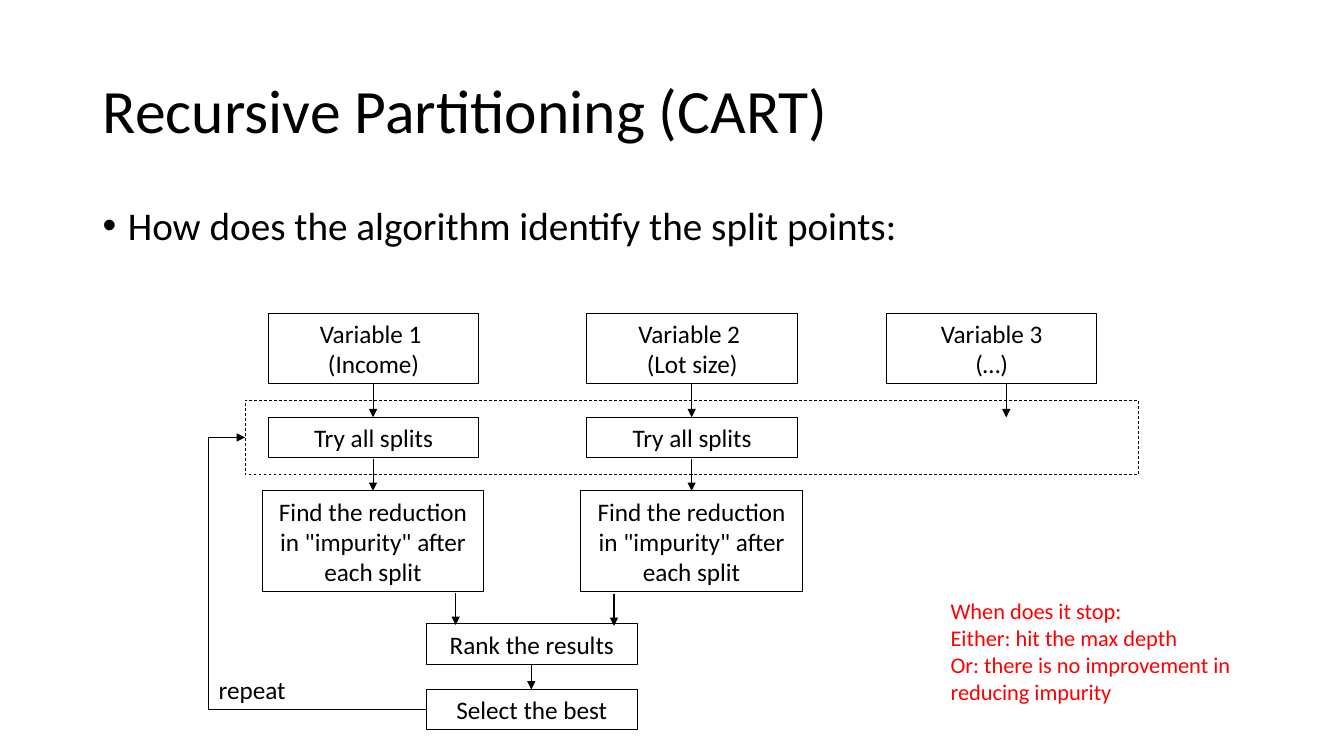
from dataclasses import dataclass

from lxml.etree import SubElement
from pptx import Presentation
from pptx.dml.color import RGBColor
from pptx.enum.dml import MSO_LINE
from pptx.enum.shapes import MSO_CONNECTOR, MSO_SHAPE
from pptx.enum.text import MSO_ANCHOR, MSO_AUTO_SIZE, PP_ALIGN
from pptx.oxml.ns import qn
from pptx.util import Emu, Pt

EMU_PER_PX = 9144  # 100 px to the inch
FONT = "Calibri"
BLACK = "000000"
RED = "FF0000"
BOX_W = 209


@dataclass
class Box:
    text: str
    x: int
    y: int
    h: int
    w: int = BOX_W


@dataclass
class Line:
    x1: int
    y1: int
    x2: int
    y2: int
    arrow: bool = True


@dataclass
class Label:
    text: str
    x: int
    y: int
    w: int
    h: int
    size: int
    color: str = BLACK


def px(n: int) -> Emu:
    return Emu(n * EMU_PER_PX)


def rgb(color: str) -> RGBColor:
    return RGBColor.from_string(color)


def write(tf, text: str, size: int, color: str = BLACK, align=PP_ALIGN.LEFT) -> None:
    tf.word_wrap = True
    tf.auto_size = MSO_AUTO_SIZE.NONE
    tf.text = text
    for p in tf.paragraphs:
        p.alignment = align
        for r in p.runs:
            r.font.size = Pt(size)
            r.font.name = FONT
            r.font.color.rgb = rgb(color)


def add_rect(s, x: int, y: int, w: int, h: int, line_pt: float):
    sp = s.shapes.add_shape(MSO_SHAPE.RECTANGLE, px(x), px(y), px(w), px(h))
    sp.shadow.inherit = False
    sp.fill.background()
    sp.line.color.rgb = rgb(BLACK)
    sp.line.width = Pt(line_pt)
    return sp


def add_box(s, box: Box) -> None:
    sp = add_rect(s, box.x, box.y, box.w, box.h, 0)
    sp.text_frame.vertical_anchor = MSO_ANCHOR.TOP
    write(sp.text_frame, box.text, 18, align=PP_ALIGN.CENTER)


def add_line(s, line: Line) -> None:
    ends = [px(n) for n in (line.x1, line.y1, line.x2, line.y2)]
    cn = s.shapes.add_connector(MSO_CONNECTOR.STRAIGHT, *ends)
    cn.line.color.rgb = rgb(BLACK)
    cn.line.width = Pt(0.75)
    if line.arrow:
        SubElement(cn.line._get_or_add_ln(), qn("a:tailEnd"), type="triangle")
    SubElement(cn._element.spPr, qn("a:effectLst"))


def add_label(s, label: Label):
    sp = s.shapes.add_textbox(px(label.x), px(label.y), px(label.w), px(label.h))
    write(sp.text_frame, label.text, label.size, label.color)
    return sp.text_frame


def add_bullet(p) -> None:
    pPr = p._p.get_or_add_pPr()
    pPr.set("marL", str(px(25)))
    pPr.set("indent", str(px(-25)))
    SubElement(pPr, qn("a:buFont"), typeface="Arial")
    SubElement(pPr, qn("a:buChar"), char="•")


def add_title(s, text: str) -> None:
    title = s.shapes.title
    title.left, title.top, title.width, title.height = px(92), px(40), px(1150), px(145)
    title.text_frame.vertical_anchor = MSO_ANCHOR.MIDDLE
    write(title.text_frame, text, 44)
    title.text_frame.paragraphs[0].line_spacing = 0.9


VARIABLES = [("Variable 1 \n(Income)", 266), ("Variable 2 \n(Lot size)", 582), ("Variable 3\n(…)", 879)]
SPLIT_COLUMNS = [x for _, x in VARIABLES[:2]]

BOXES = [Box(text, x, 311, 70) for text, x in VARIABLES]
LINES = []
for x in SPLIT_COLUMNS:
    center = x + BOX_W // 2
    BOXES += [
        Box("Try all splits", x, 414, 40),
        Box('Find the reduction in "impurity" after each split', x - 6, 487, 100, 220),
    ]
    LINES += [Line(center, 381, center, 414), Line(center, 455, center, 487)]

BOXES += [Box("Rank the results", 423, 619, 40), Box("Select the best", 423, 684, 40)]
LINES += [
    Line(998, 381, 998, 414),
    Line(452, 588, 452, 620),
    Line(609, 589, 609, 621),
    Line(527, 659, 527, 684),
]
REPEAT_LOOP = [
    Line(423, 704, 207, 704, arrow=False),
    Line(207, 704, 207, 434, arrow=False),
    Line(207, 434, 243, 434),
]
LABELS = [
    Label("repeat", 207, 664, 99, 40, 18),
    Label(
        "When does it stop:\nEither: hit the max depth\n"
        "Or: there is no improvement in reducing impurity",
        933, 588, 367, 116, 16, RED,
    ),
]


def main() -> None:
    prs = Presentation()
    prs.slide_width, prs.slide_height = px(1333), px(750)
    s = prs.slides.add_slide(prs.slide_layouts[5])

    add_title(s, "Recursive Partitioning (CART)")
    question = Label("How does the algorithm identify the split points:", 92, 200, 1150, 60, 28)
    p = add_label(s, question).paragraphs[0]
    p.line_spacing = 0.9
    p.space_before = Pt(10)
    add_bullet(p)

    for box in BOXES:
        add_box(s, box)
    split_frame = add_rect(s, 243, 397, 886, 74, 0.5)
    split_frame.line.dash_style = MSO_LINE.DASH
    for line in LINES + REPEAT_LOOP:
        add_line(s, line)
    for label in LABELS:
        add_label(s, label)

    prs.save("out.pptx")


if __name__ == "__main__":
    main()
